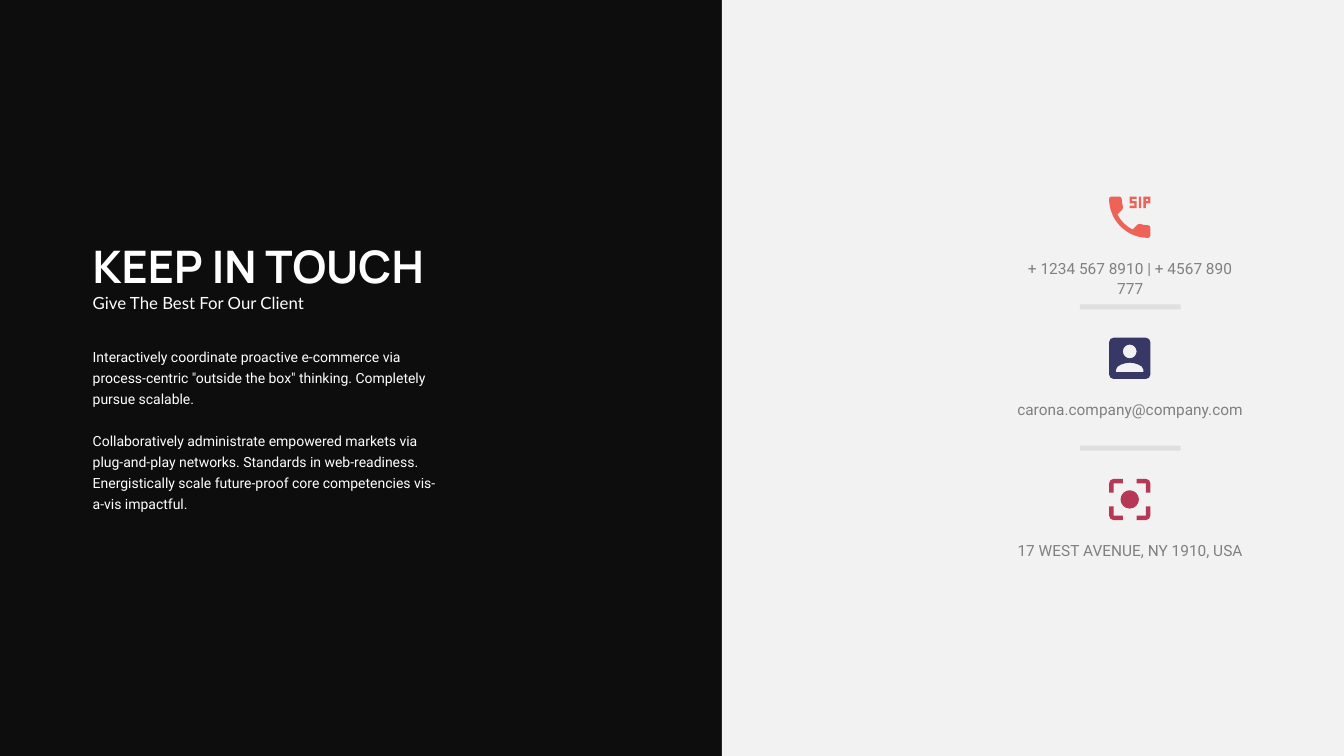
from lxml import etree
from pptx import Presentation
from pptx.dml.color import RGBColor
from pptx.enum.shapes import MSO_SHAPE
from pptx.enum.text import MSO_ANCHOR, PP_ALIGN
from pptx.oxml.ns import qn
from pptx.util import Inches, Pt

RECTANGLE = MSO_SHAPE.RECTANGLE
TOP, MIDDLE = MSO_ANCHOR.TOP, MSO_ANCHOR.MIDDLE
LEFT, CENTER = PP_ALIGN.LEFT, PP_ALIGN.CENTER

BLACK = RGBColor(0x0D, 0x0D, 0x0D)
WHITE = RGBColor(0xFF, 0xFF, 0xFF)
PANEL = RGBColor(0xF2, 0xF2, 0xF2)
DIVIDER = RGBColor(0xDF, 0xDF, 0xDF)
GRAY = RGBColor(0x80, 0x80, 0x80)
CORAL = RGBColor(0xEF, 0x62, 0x57)
NAVY = RGBColor(0x38, 0x38, 0x66)
CRIMSON = RGBColor(0xB5, 0x39, 0x57)

# Content
TITLE = "KEEP IN TOUCH"
SUBTITLE = "Give The Best For Our Client"
BODY = [
    'Interactively coordinate proactive e-commerce via process-centric "outside the box" '
    "thinking. Completely pursue scalable.",
    "Collaboratively administrate empowered markets via plug-and-play networks. Standards in "
    "web-readiness. Energistically scale future-proof core competencies vis-a-vis impactful.",
]


def circle(x, y, radius):
    k = radius * 0.55
    return [(x + radius, y),
            (x + radius, y + k, x + k, y + radius, x, y + radius),
            (x - k, y + radius, x - radius, y + k, x - radius, y),
            (x - radius, y - k, x - k, y - radius, x, y - radius),
            (x + k, y - radius, x + radius, y - k, x + radius, y)]


def mirror(contour, flip_x, flip_y):
    flips = (flip_x, flip_y)
    return [tuple(GRID - value if flips[i % 2] else value for i, value in enumerate(step))
            for step in contour]


# Icon outlines on an 18-unit grid: a pair is a line, six numbers are a Bezier curve
GRID = 18
HANDSET = [
    (17, 12.5), (15.75, 12.5, 14.55, 12.3, 13.43, 11.93),
    (13.08, 11.82, 12.69, 11.9, 12.42, 12.17), (10.22, 14.37),
    (7.39, 12.93, 5.07, 10.62, 3.63, 7.78), (5.83, 5.57),
    (6.1, 5.31, 6.18, 4.92, 6.07, 4.57), (5.7, 3.45, 5.5, 2.25, 5.5, 1),
    (5.5, 0.45, 5.05, 0, 4.5, 0), (1, 0), (0.45, 0, 0, 0.45, 0, 1),
    (0, 10.39, 7.61, 18, 17, 18), (17.55, 18, 18, 17.55, 18, 17),
    (18, 13.5), (18, 12.95, 17.55, 12.5, 17, 12.5),
]
LETTER_S = [(12, 2), (10, 2), (10, 1), (12, 1), (12, 0), (9, 0),
            (9, 3), (11, 3), (11, 4), (9, 4), (9, 5), (12, 5)]
LETTER_I = [(13, 0), (14, 0), (14, 5), (13, 5)]
LETTER_P = [(15, 0), (15, 5), (16, 5), (16, 3), (18, 3), (18, 0)]
LETTER_P_HOLE = [(16, 1), (17, 1), (17, 2), (16, 2)]
CARD = [(0, 2), (0, 0.9, 0.9, 0, 2, 0), (16, 0), (17.1, 0, 18, 0.9, 18, 2),
        (18, 16), (18, 17.1, 17.1, 18, 16, 18), (2, 18), (0.9, 18, 0, 17.1, 0, 16)]
SHOULDERS = [(3, 14), (3, 12, 7, 10.9, 9, 10.9), (11, 10.9, 15, 12, 15, 14), (15, 15), (3, 15)]
CORNER = [(0, 6), (0, 2), (0, 0.9, 0.9, 0, 2, 0), (6, 0), (6, 2), (2, 2), (2, 6)]

PHONE_ICON = [HANDSET, LETTER_S, LETTER_I, LETTER_P, LETTER_P_HOLE]
PERSON_ICON = [CARD, circle(9, 6, 3), SHOULDERS]
FOCUS_ICON = [circle(9, 9, 4)] + [mirror(CORNER, x, y) for x in (0, 1) for y in (0, 1)]

CONTACTS = [
    ("+ 1234 567 8910 | + 4567 890 777", PHONE_ICON, CORAL),
    ("carona.company@company.com", PERSON_ICON, NAVY),
    ("17 WEST AVENUE, NY 1910, USA", FOCUS_ICON, CRIMSON),
]

# Layout in inches
TEXT_LEFT, TEXT_WIDTH = 0.92, 3.4
CONTACT_CENTER, CONTACT_WIDTH = 11.21, 2.3
CONTACT_TOP, CONTACT_STEP = 1.95, 1.4
ICON_LEFT, ICON_SIZE = 11, 0.41

presentation = Presentation()
presentation.slide_width, presentation.slide_height = Inches(13.33), Inches(7.5)
slide = presentation.slides.add_slide(presentation.slide_layouts[6])
slide.background.fill.solid()
slide.background.fill.fore_color.rgb = BLACK


def paint(shape, color):
    shape.shadow.inherit = False
    shape.fill.solid()
    shape.fill.fore_color.rgb = color
    shape.line.fill.background()


def add_bar(left, top, width, height, color):
    box = [Inches(value) for value in (left, top, width, height)]
    paint(slide.shapes.add_shape(RECTANGLE, *box), color)


def add_text(box, texts, font, size, color, spacing=None, bold=False,
             align=LEFT, anchor=TOP, gap=0):
    frame = slide.shapes.add_textbox(*[Inches(value) for value in box]).text_frame
    frame.word_wrap = True
    frame.vertical_anchor = anchor
    frame.margin_left = frame.margin_right = frame.margin_top = frame.margin_bottom = 0
    for index, text in enumerate(texts):
        paragraph = frame.add_paragraph() if index else frame.paragraphs[0]
        paragraph.text = text
        paragraph.alignment = align
        if spacing:
            paragraph.line_spacing = Pt(spacing)
        if index:
            paragraph.space_before = Pt(gap)
        paragraph.font.name = font
        paragraph.font.size = Pt(size)
        paragraph.font.bold = bold
        paragraph.font.color.rgb = color


def add_icon(contours, left, top, color):
    unit = ICON_SIZE / GRID

    def place(x, y):
        return Inches(left + x * unit), Inches(top + y * unit)

    builder = None
    for contour in contours:
        ends = [place(*step[-2:]) for step in contour]
        if builder is None:
            builder = slide.shapes.build_freeform(*ends[0])
        else:
            builder.move_to(*ends[0])
        builder.add_line_segments(ends[1:], close=True)
    shape = builder.convert_to_shape()
    paint(shape, color)

    # Turn the segments that have control points into curves
    segments = list(shape.element.iter(qn("a:lnTo")))
    steps = [step for contour in contours for step in contour[1:]]
    for segment, step in zip(segments, steps):
        if len(step) == 6:
            segment.tag = qn("a:cubicBezTo")
            for index in (0, 1):
                x, y = place(*step[2 * index:2 * index + 2])
                point = etree.Element(qn("a:pt"), x=str(x - shape.left), y=str(y - shape.top))
                segment.insert(index, point)


# Contact panel
add_bar(7.16, 0, 6.17, 7.5, PANEL)
for row, (text, icon, color) in enumerate(CONTACTS):
    top = CONTACT_TOP + row * CONTACT_STEP
    add_icon(icon, ICON_LEFT, top, color)
    add_text((CONTACT_CENTER - CONTACT_WIDTH / 2, top + 0.61, CONTACT_WIDTH, 0.19),
             [text], "Roboto", 11, GRAY, spacing=14, align=CENTER)
    if row < len(CONTACTS) - 1:
        add_bar(CONTACT_CENTER - 0.5, top + 1.07, 1, 0.05, DIVIDER)

# Heading and message
add_text((TEXT_LEFT, 2.41, TEXT_WIDTH, 0.49), [TITLE], "Manrope", 32, WHITE,
         spacing=35, bold=True, anchor=MIDDLE)
add_text((TEXT_LEFT, 2.9, TEXT_WIDTH, 0.2), [SUBTITLE], "Lato", 12, WHITE)
add_text((TEXT_LEFT, 3.42, TEXT_WIDTH, 1.67), BODY, "Roboto", 10, WHITE, spacing=15, gap=15)

presentation.save("out.pptx")
